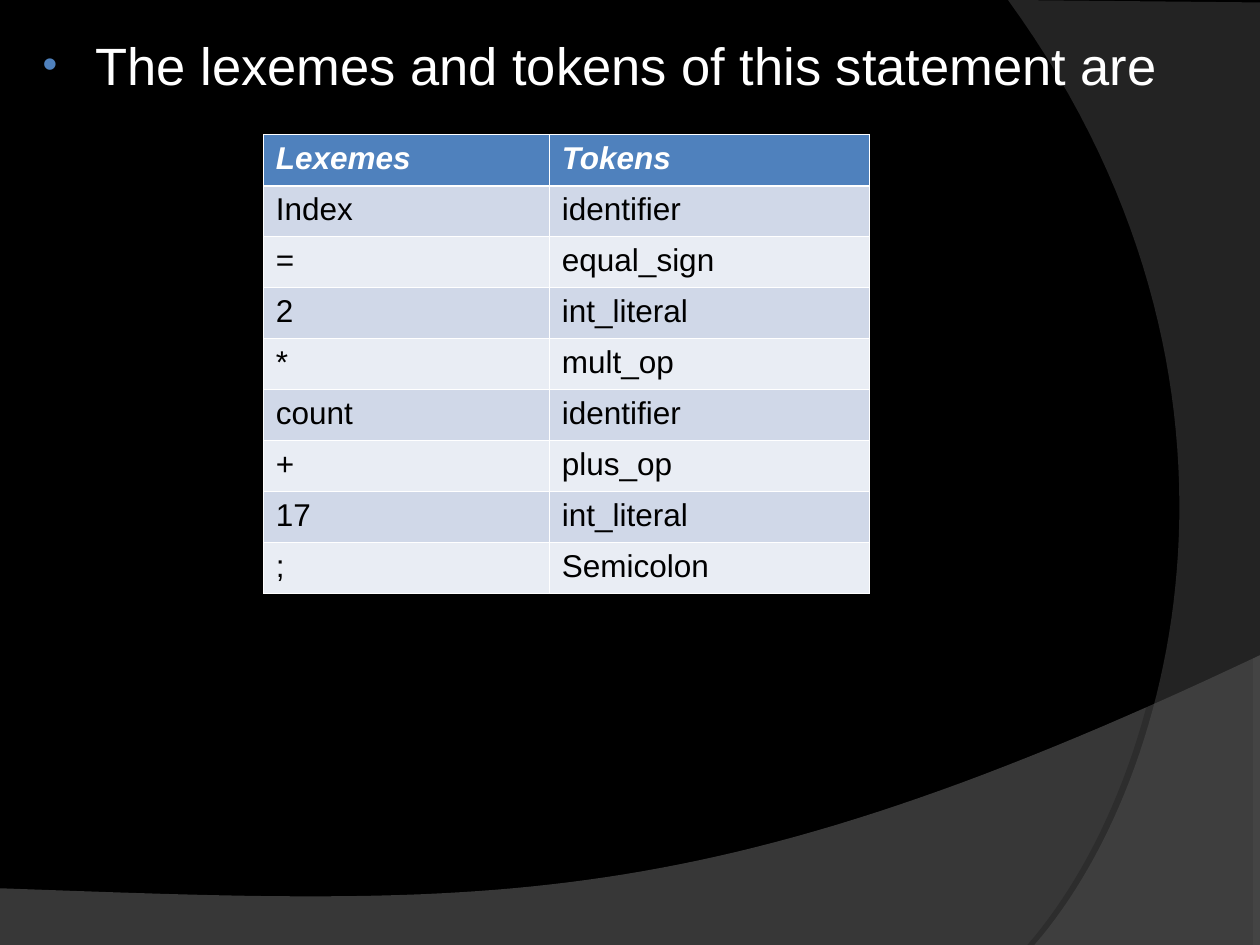
"""Build a slide that lists the lexemes and tokens of a statement."""
from lxml.etree import SubElement
from pptx import Presentation
from pptx.dml.color import RGBColor
from pptx.oxml.ns import qn
from pptx.util import Inches, Pt

HEADING = "The lexemes and tokens of this statement are"
ROWS = [
    ("Lexemes", "Tokens"),
    ("Index", "identifier"),
    ("=", "equal_sign"),
    ("2", "int_literal"),
    ("*", "mult_op"),
    ("count", "identifier"),
    ("+", "plus_op"),
    ("17", "int_literal"),
    (";", "Semicolon"),
]
COL_WIDTHS = (2.27, 2.54)
ROW_HEIGHT = 0.405
BLUE, WHITE, BLACK = "4F81BD", "FFFFFF", "000000"
BANDS = ("E9EDF4", "D0D8E8")
THIN, THICK = 0.45, 1.47

WAVES = [
    dict(before=[(0, 7.05), (0, 7.51), (10, 7.51)],
         curve=[(10, 5.2), (5.59, 7.29), (3.91, 7.19), (0, 7.05)],
         color="7C7C7C", alpha=45, shadow=(35, 3.5, 270)),
    dict(before=[(10, 0.02), (10, 7.5)],
         curve=[(8.21, 7.5), (9.35, 6.19), (10.18, 3), (8, 0)],
         color="595959", alpha=40, shadow=(45, 4, 180)),
]


def rgb(color):
    return RGBColor.from_string(color)


def add(parent, tag, **attrs):
    return SubElement(parent, qn(tag), {k: str(v) for k, v in attrs.items()})


def bezier(points, steps=60):
    weights = (1, 3, 3, 1)
    for i in range(steps + 1):
        t = i / steps
        yield tuple(sum(w * (1 - t) ** (3 - k) * t ** k * pt[axis]
                        for k, (w, pt) in enumerate(zip(weights, points)))
                    for axis in (0, 1))


def add_wave(s, before, curve, color, alpha, shadow):
    outline = [(Inches(x), Inches(y)) for x, y in [*before, *bezier(curve)]]
    builder = s.shapes.build_freeform(*outline[0])
    builder.add_line_segments(outline[1:], close=True)
    sp = builder.convert_to_shape()
    sp.line.fill.background()
    sp.fill.solid()
    sp.fill.fore_color.rgb = rgb(color)
    sp.shadow.inherit = False
    spPr = sp.element.spPr
    add(spPr.find(".//" + qn("a:solidFill"))[0], "a:alpha", val=alpha * 1000)
    opacity, distance, angle = shadow
    outer = add(spPr.find(qn("a:effectLst")), "a:outerShdw", blurRad=0,
                dist=Pt(distance), dir=angle * 60000, algn="ctr", rotWithShape=0)
    add(add(outer, "a:srgbClr", val=BLACK), "a:alpha", val=opacity * 1000)


def write(tf, text, size=18, color=BLACK, bold=False, italic=False, bullet=None):
    p = tf.paragraphs[0]
    if bullet:
        pPr = p._p.get_or_add_pPr()
        pPr.set("marL", str(Inches(0.46)))
        pPr.set("indent", str(Inches(-0.42)))
        add(add(pPr, "a:buClr"), "a:srgbClr", val=bullet)
        add(pPr, "a:buSzPct", val=80000)
        add(pPr, "a:buFont", typeface="Arial")
        add(pPr, "a:buChar", char="•")
    r = p.add_run()
    r.text = text
    r.font.name = "Arial"
    r.font.size = Pt(size)
    r.font.bold, r.font.italic = bold, italic
    r.font.color.rgb = rgb(color)


def add_borders(cell, top, bottom):
    tcPr = cell._tc.get_or_add_tcPr()
    for side, width in zip("LRTB", (THIN, THIN, top, bottom)):
        ln = add(tcPr, f"a:ln{side}", w=Pt(width))
        add(add(ln, "a:solidFill"), "a:srgbClr", val=WHITE)


def add_token_table(s):
    frame = s.shapes.add_table(len(ROWS), len(COL_WIDTHS), Inches(2.09), Inches(1.07),
                               Inches(sum(COL_WIDTHS)), Inches(ROW_HEIGHT * len(ROWS)))
    table = frame.table
    for column, width in zip(table.columns, COL_WIDTHS):
        column.width = Inches(width)
    for i, values in enumerate(ROWS):
        table.rows[i].height = Inches(ROW_HEIGHT)
        header = i == 0
        for j, text in enumerate(values):
            cell = table.cell(i, j)
            add_borders(cell, THICK if i == 1 else THIN, THICK if header else THIN)
            cell.fill.solid()
            cell.fill.fore_color.rgb = rgb(BLUE if header else BANDS[i % 2])
            write(cell.text_frame, text, color=WHITE if header else BLACK,
                  bold=header, italic=header)


def main():
    prs = Presentation()
    prs.slide_width, prs.slide_height = Inches(10), Inches(7.5)
    s = prs.slides.add_slide(prs.slide_layouts[6])
    s.background.fill.solid()
    s.background.fill.fore_color.rgb = rgb(BLACK)
    for wave in WAVES:
        add_wave(s, **wave)
    box = s.shapes.add_textbox(Inches(0.2), Inches(0.21), Inches(9.61), Inches(7.09))
    box.text_frame.word_wrap = True
    write(box.text_frame, HEADING, size=30, color=WHITE, bullet=BLUE)
    add_token_table(s)
    prs.save("out.pptx")


if __name__ == "__main__":
    main()
